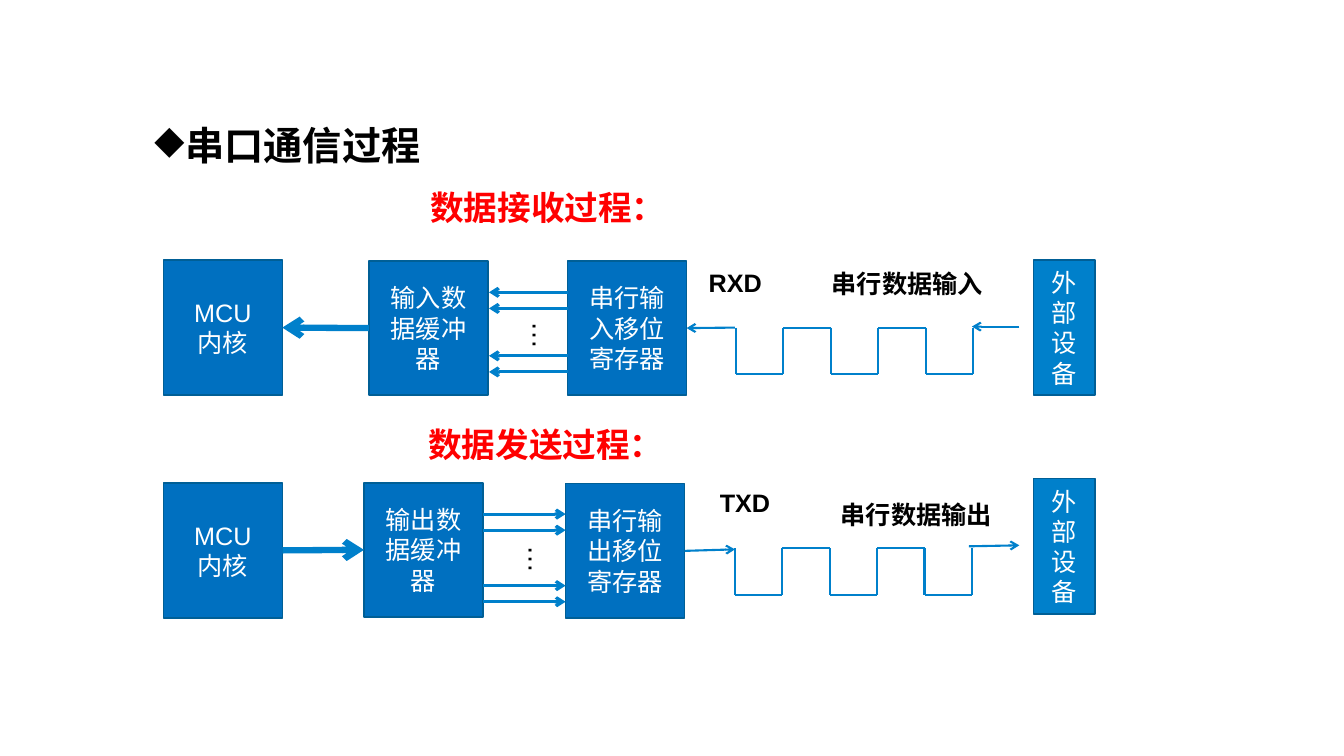
from pptx import Presentation
from pptx.dml.color import RGBColor
from pptx.enum.shapes import MSO_CONNECTOR as Link, MSO_SHAPE as Shape
from pptx.enum.text import MSO_ANCHOR as Anchor, MSO_AUTO_SIZE as Fit, PP_ALIGN as Align
from pptx.oxml.ns import qn
from pptx.util import Pt
from lxml.etree import SubElement

PX = 9144
BLACK = RGBColor(0, 0, 0)
WHITE = RGBColor(255, 255, 255)
RED = RGBColor(255, 0, 0)
BLUE = RGBColor(0x00, 0x70, 0xC0)
SKY = RGBColor(0x00, 0x80, 0xCB)
EDGE = RGBColor(0x00, 0x5F, 0x96)
STEP = 47


def emu(*sizes):
    return [size * PX for size in sizes]


def style(frame, size, color, bold=False, align=Align.LEFT):
    for para in frame.paragraphs:
        para.alignment = align
        for run in para.runs:
            font = run.font
            font.name = "Arial"
            font.size = Pt(size)
            font.bold = bold
            font.color.rgb = color


def add_title(slide, text, left, top, width, height):
    title = slide.shapes.title
    title.left, title.top, title.width, title.height = emu(left, top, width, height)
    frame = title.text_frame
    frame.text = text
    frame.word_wrap = False
    frame.auto_size = Fit.SHAPE_TO_FIT_TEXT
    frame.vertical_anchor = Anchor.TOP
    props = frame.paragraphs[0]._p.get_or_add_pPr()
    props.set("marL", str(31 * PX))
    props.set("indent", str(-31 * PX))
    SubElement(props, qn("a:buChar")).set("char", "◆")
    style(frame, 28, BLACK, True)


def add_label(slide, text, left, top, width, height, size=18, color=BLACK, bold=True):
    label = slide.shapes.add_textbox(*emu(left, top, width, height))
    frame = label.text_frame
    frame.text = text
    frame.word_wrap = False
    frame.auto_size = Fit.SHAPE_TO_FIT_TEXT
    style(frame, size, color, bold)
    return label


def add_dots(slide, left, top):
    dots = add_label(slide, "…", left, top, 54, 38, 20, bold=False)
    dots.text_frame._txBody.bodyPr.set("vert", "eaVert")


def add_block(slide, text, left, top, width, height, fill=BLUE):
    block = slide.shapes.add_shape(Shape.RECTANGLE, *emu(left, top, width, height))
    block.shadow.inherit = False
    block.fill.solid()
    block.fill.fore_color.rgb = fill
    block.line.color.rgb = EDGE
    block.line.width = Pt(1)
    frame = block.text_frame
    frame.text = text
    frame.word_wrap = True
    frame.vertical_anchor = Anchor.MIDDLE
    style(frame, 18, WHITE, align=Align.CENTER)
    return block


def add_line(slide, x1, y1, x2, y2, width=1.5, arrow=False):
    line = slide.shapes.add_connector(Link.STRAIGHT, *emu(x1, y1, x2, y2))
    line.line.color.rgb = SKY
    line.line.width = Pt(width)
    if arrow:
        SubElement(line.line._ln, qn("a:tailEnd")).set("type", "arrow")
    SubElement(line._element.spPr, qn("a:effectLst"))
    return line


def add_wave(slide, left, high, low):
    for i in range(6):
        x = left + i * STEP
        add_line(slide, x, high, x, low)
        if i < 5:
            y = high if i % 2 else low
            add_line(slide, x, y, x + STEP, y)


def add_bus(slide, start, end, rows):
    for y in rows:
        add_line(slide, start, y, end, y, 2.25, True)


def add_input(slide):
    add_label(slide, "数据接收过程：", 417, 180, 257, 51, 24, RED)
    core = add_block(slide, "MCU\n内核", 162, 258, 118, 134)
    buffer = add_block(slide, "输入数据缓冲器", 366, 259, 118, 133)
    shift = add_block(slide, "串行输入移位寄存器", 563, 259, 118, 133)
    add_block(slide, "外部设备", 1025, 258, 61, 134, SKY)
    load = add_line(slide, 366, 326, 280, 325, 4.5, True)
    load.begin_connect(buffer, 1)
    load.end_connect(core, 3)
    add_bus(slide, 563, 485, (290, 306, 353, 369))
    add_dots(slide, 507, 309)
    add_wave(slide, 730, 325, 371)
    add_line(slide, 729, 325, 681, 325, arrow=True).end_connect(shift, 3)
    add_line(slide, 1011, 324, 964, 324, arrow=True)
    add_label(slide, "RXD", 693, 260, 73, 40)
    add_label(slide, "串行数据输入", 815, 261, 172, 40)


def add_output(slide):
    add_label(slide, "数据发送过程：", 415, 416, 257, 51, 24, RED)
    core = add_block(slide, "MCU\n内核", 162, 479, 118, 134)
    buffer = add_block(slide, "输出数据缓冲器", 361, 479, 118, 133)
    shift = add_block(slide, "串行输出移位寄存器", 561, 480, 118, 133)
    add_block(slide, "外部设备", 1025, 475, 61, 134, SKY)
    send = add_line(slide, 280, 546, 361, 545, 4.5, True)
    send.begin_connect(core, 3)
    send.end_connect(buffer, 1)
    add_bus(slide, 479, 561, (510, 526, 581, 597))
    add_dots(slide, 503, 531)
    add_wave(slide, 729, 544, 590)
    add_line(slide, 679, 546, 729, 545, arrow=True).begin_connect(shift, 3)
    add_line(slide, 961, 542, 1011, 541, arrow=True)
    add_label(slide, "TXD", 704, 479, 71, 40)
    add_label(slide, "串行数据输出", 824, 490, 172, 40)


def main():
    deck = Presentation()
    deck.slide_width, deck.slide_height = emu(1333, 750)
    slide = deck.slides.add_slide(deck.slide_layouts[5])
    add_title(slide, "串口通信过程", 143, 115, 296, 57)
    add_input(slide)
    add_output(slide)
    deck.save("out.pptx")


if __name__ == "__main__":
    main()
